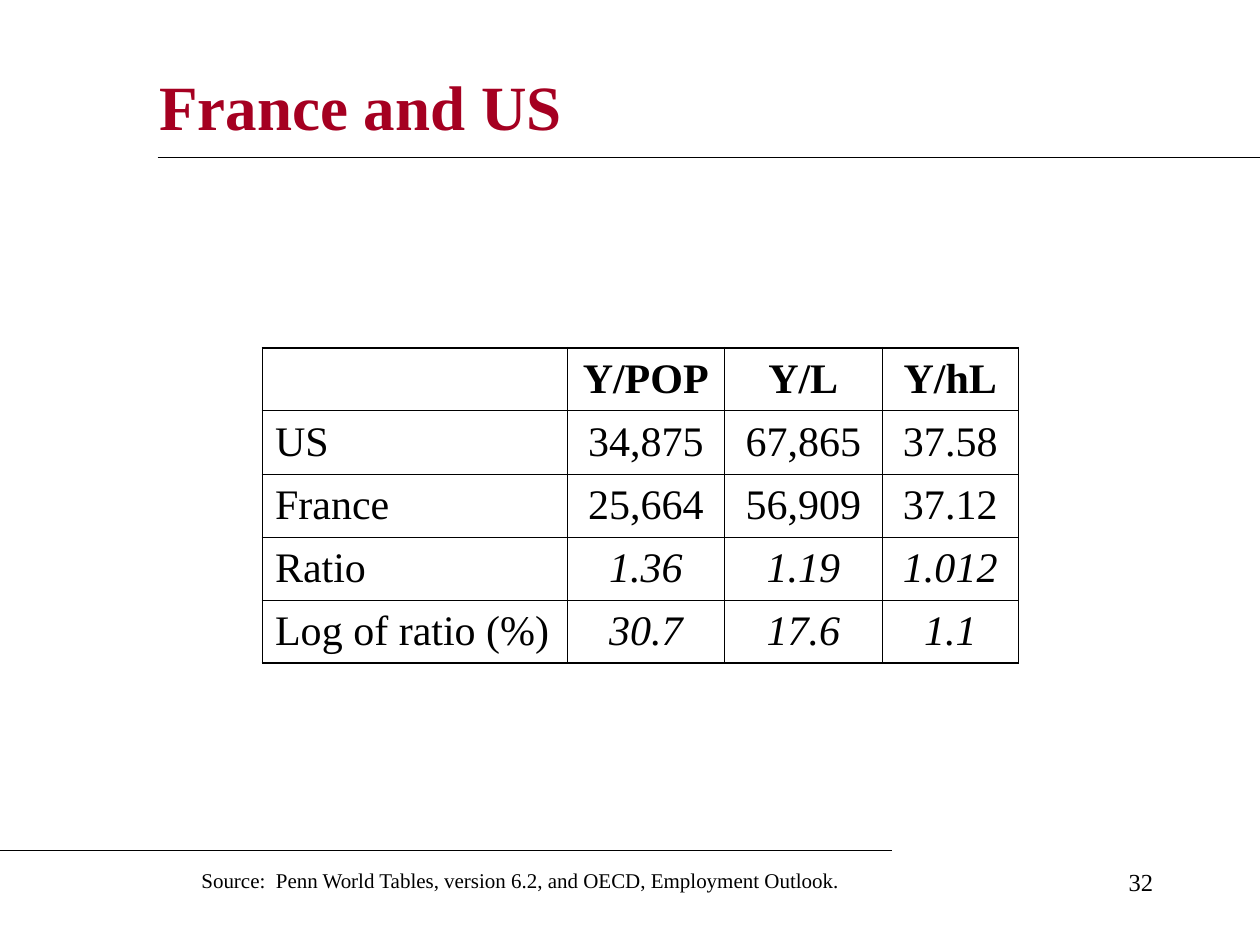
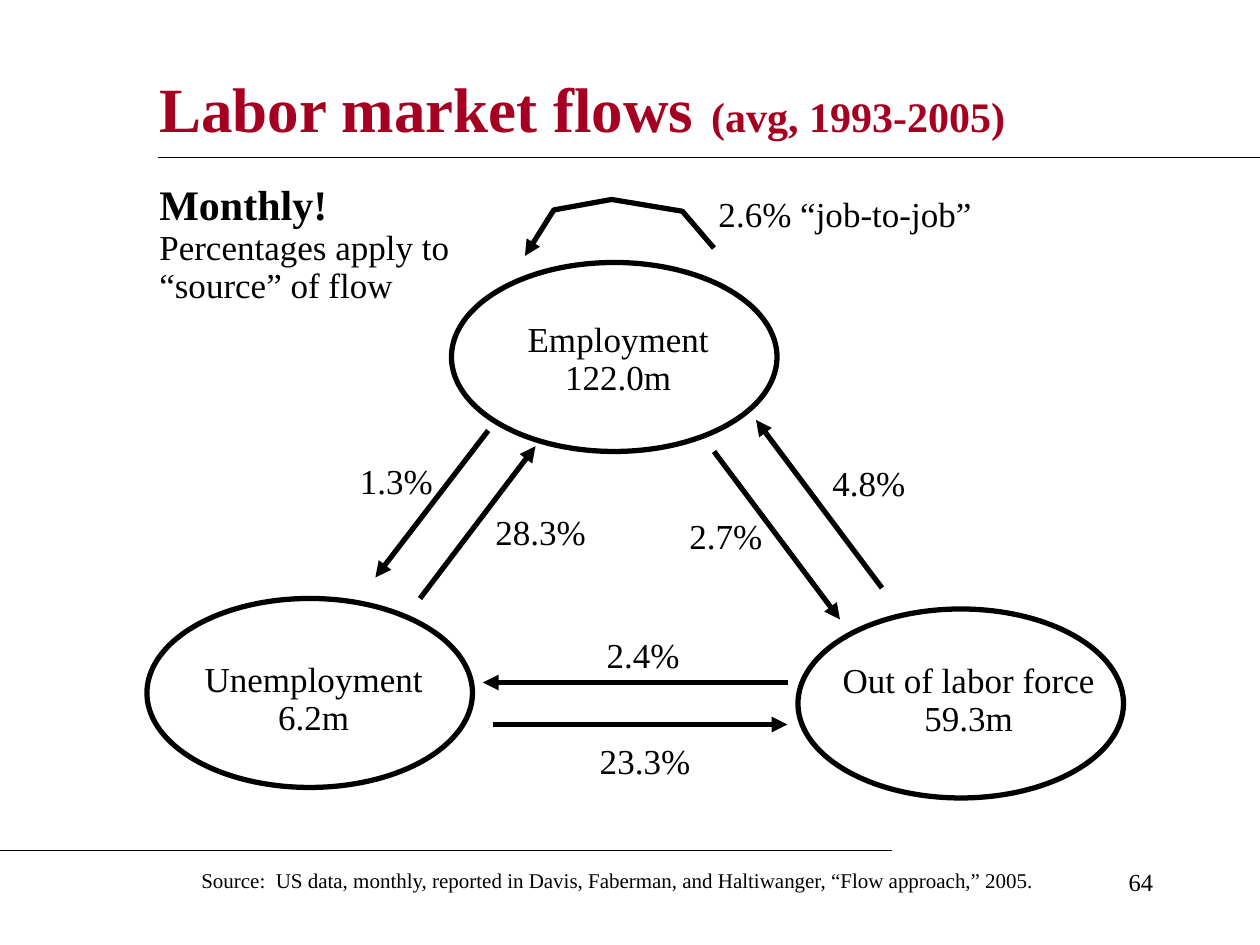
from dataclasses import dataclass

from lxml import etree
from pptx import Presentation
from pptx import util as u
from pptx.dml import color
from pptx.enum import shapes, text
from pptx.oxml import ns

PX = 9525


@dataclass(frozen=True)
class Theme:
    font: str = "Times New Roman"
    ink: color.RGBColor = color.RGBColor(0x00, 0x00, 0x00)
    title_color: color.RGBColor = color.RGBColor(0xA5, 0x00, 0x21)
    title: int = 36
    title_gap: int = 40
    heading: int = 24
    label: int = 20
    number: int = 14
    source: int = 12
    rule: float = 0.75
    flow: float = 3
    inner_border: float = 0.45
    outer_border: float = 1.08


THEME = Theme()
LEFT, CENTER, RIGHT = text.PP_ALIGN.LEFT, text.PP_ALIGN.CENTER, text.PP_ALIGN.RIGHT


def px(*lengths):
    return [u.Emu(length * PX) for length in lengths]


def add_run(paragraph, words, size, bold=False, italic=False, ink=THEME.ink):
    run = paragraph.add_run()
    run.text = words
    font = run.font
    font.name, font.size = THEME.font, u.Pt(size)
    font.bold, font.italic = bold, italic
    font.color.rgb = ink


def add_text(slide, box, lines, align=LEFT, spacing=None, anchor=text.MSO_ANCHOR.TOP):
    frame = slide.shapes.add_textbox(*px(*box)).text_frame
    frame.word_wrap = True
    frame.vertical_anchor = anchor
    for index, runs in enumerate(lines):
        paragraph = frame.add_paragraph() if index else frame.paragraphs[0]
        paragraph.alignment = align
        if spacing:
            paragraph.line_spacing = spacing
        for run in runs:
            add_run(paragraph, **run)


def plain(words, size=THEME.label, **style):
    return dict(words=words, size=size, **style)


def set_line(shape, width):
    shape.line.color.rgb = THEME.ink
    shape.line.width = u.Pt(width)


def add_arrowhead(shape):
    etree.SubElement(shape.line._get_or_add_ln(), ns.qn("a:tailEnd"), type="triangle")


def add_line(slide, start, end, width, arrow=False):
    line = slide.shapes.add_connector(
        shapes.MSO_CONNECTOR.STRAIGHT, *px(*start, *end))
    set_line(line, width)
    if arrow:
        add_arrowhead(line)
    etree.SubElement(line._element.spPr, ns.qn("a:effectLst"))


def add_flow_path(slide, points):
    builder = slide.shapes.build_freeform(*points[0], scale=PX)
    builder.add_line_segments(points[1:], close=False)
    shape = builder.convert_to_shape()
    shape.shadow.inherit = False
    shape.fill.background()
    set_line(shape, THEME.flow)
    add_arrowhead(shape)


def add_state(slide, corner, label_box, name, people):
    ellipse = slide.shapes.add_shape(
        shapes.MSO_SHAPE.OVAL, *px(*corner, 248, 144))
    ellipse.shadow.inherit = False
    ellipse.fill.background()
    set_line(ellipse, THEME.flow)
    add_text(slide, label_box, [[plain(name)], [plain(people)]], CENTER, 0.9)


def add_border(cell, side, width):
    properties = cell._tc.get_or_add_tcPr()
    border = etree.SubElement(
        properties, ns.qn(f"a:ln{side}"), w=str(u.Pt(width)))
    fill = etree.SubElement(border, ns.qn("a:solidFill"))
    etree.SubElement(fill, ns.qn("a:srgbClr"), val=str(THEME.ink))


def add_grid(slide, corner, widths, row_height, rows):
    size = sum(widths), row_height * len(rows)
    table = slide.shapes.add_table(
        len(rows), len(widths), *px(*corner, *size)).table
    table.first_row = table.horz_banding = False
    for column, width in zip(table.columns, px(*widths)):
        column.width = width
    last_row, last_column = len(rows) - 1, len(widths) - 1
    for r, (values, style) in enumerate(rows):
        for c, value in enumerate(values):
            cell = table.cell(r, c)
            cell.vertical_anchor = text.MSO_ANCHOR.MIDDLE
            edges = {"L": c == 0, "R": c == last_column,
                     "T": r == 0, "B": r == last_row}
            for side, outer in edges.items():
                add_border(cell, side,
                           THEME.outer_border if outer else THEME.inner_border)
            cell.fill.background()
            if value:
                paragraph = cell.text_frame.paragraphs[0]
                paragraph.alignment = CENTER if c else LEFT
                add_run(paragraph, value, THEME.heading, **(style if c else {}))


def add_base_slide(presentation, number, title_box, title_runs, source, source_width):
    slide = presentation.slides.add_slide(presentation.slide_layouts[6])
    add_text(slide, (688, 656, 200, 48), [[plain(number, THEME.number)]], RIGHT)
    title = [plain(words, size, bold=True, ink=THEME.title_color)
             for words, size in title_runs]
    add_text(slide, title_box, [title], anchor=text.MSO_ANCHOR.MIDDLE)
    add_line(slide, (120, 120), (960, 120), THEME.rule)
    add_line(slide, (0, 648), (680, 648), THEME.rule)
    add_text(slide, (144, 656, source_width, 29), [[plain(source, THEME.source)]])
    return slide


def add_france_slide(presentation):
    slide = add_base_slide(
        presentation, "32", (112, 40, 792, 80), [("France and US", THEME.title)],
        "Source:  Penn World Tables, version 6.2, and OECD, Employment Outlook.", 592)
    add_grid(slide, (200, 265), (232, 120, 120, 104), 48, [
        (("", "Y/POP", "Y/L", "Y/hL"), {"bold": True}),
        (("US", "34,875", "67,865", "37.58"), {}),
        (("France", "25,664", "56,909", "37.12"), {}),
        (("Ratio", "1.36", "1.19", "1.012"), {"italic": True}),
        (("Log of ratio (%)", "30.7", "17.6", "1.1"), {"italic": True}),
    ])


def add_flows_slide(presentation):
    slide = add_base_slide(
        presentation, "64", (112, 24, 728, 112),
        [("Labor market flows", THEME.title), (" ", THEME.title_gap),
         ("(avg, 1993-2005)", THEME.heading)],
        "Source:  US data, monthly, reported in Davis, Faberman, and Haltiwanger, "
        "“Flow approach,” 2005.", 664)
    states = [
        ((344, 200), (391, 241, 160, 67), "Employment", "122.0m"),
        ((608, 464), (630, 501, 216, 67), "Out of labor force", "59.3m"),
        ((112, 456), (143, 500, 192, 67), "Unemployment", "6.2m"),
    ]
    for state in states:
        add_state(slide, *state)
    flows = [
        ((320, 456), (408, 340), "28.3%", (360, 384, 104, 42)),
        ((372, 328), (286, 440), "1.3%", (262, 345, 80, 42)),
        ((544, 344), (640, 472), "2.7%", (513, 387, 80, 42)),
        ((672, 448), (576, 320), "4.8%", (622, 347, 80, 42)),
        ((376, 552), (600, 552), "23.3%", (441, 559, 101, 42)),
        ((600, 520), (368, 520), "2.4%", (452, 478, 76, 42)),
    ]
    for start, end, share, label_box in flows:
        add_line(slide, start, end, THEME.flow, arrow=True)
        add_text(slide, label_box, [[plain(share)]], CENTER)
    add_flow_path(slide, [(544, 189), (520, 161), (466, 152), (422, 160), (400, 195)])
    add_text(slide, (538, 142, 240, 42), [[plain("2.6% “job-to-job”")]])
    add_text(slide, (112, 136, 240, 102), [
        [plain("Monthly!", THEME.heading, bold=True)],
        [plain("Percentages apply to “source” of flow")],
    ], spacing=0.9)


def main():
    presentation = Presentation()
    presentation.slide_width, presentation.slide_height = px(960, 720)
    add_france_slide(presentation)
    add_flows_slide(presentation)
    presentation.save("out.pptx")


if __name__ == "__main__":
    main()
